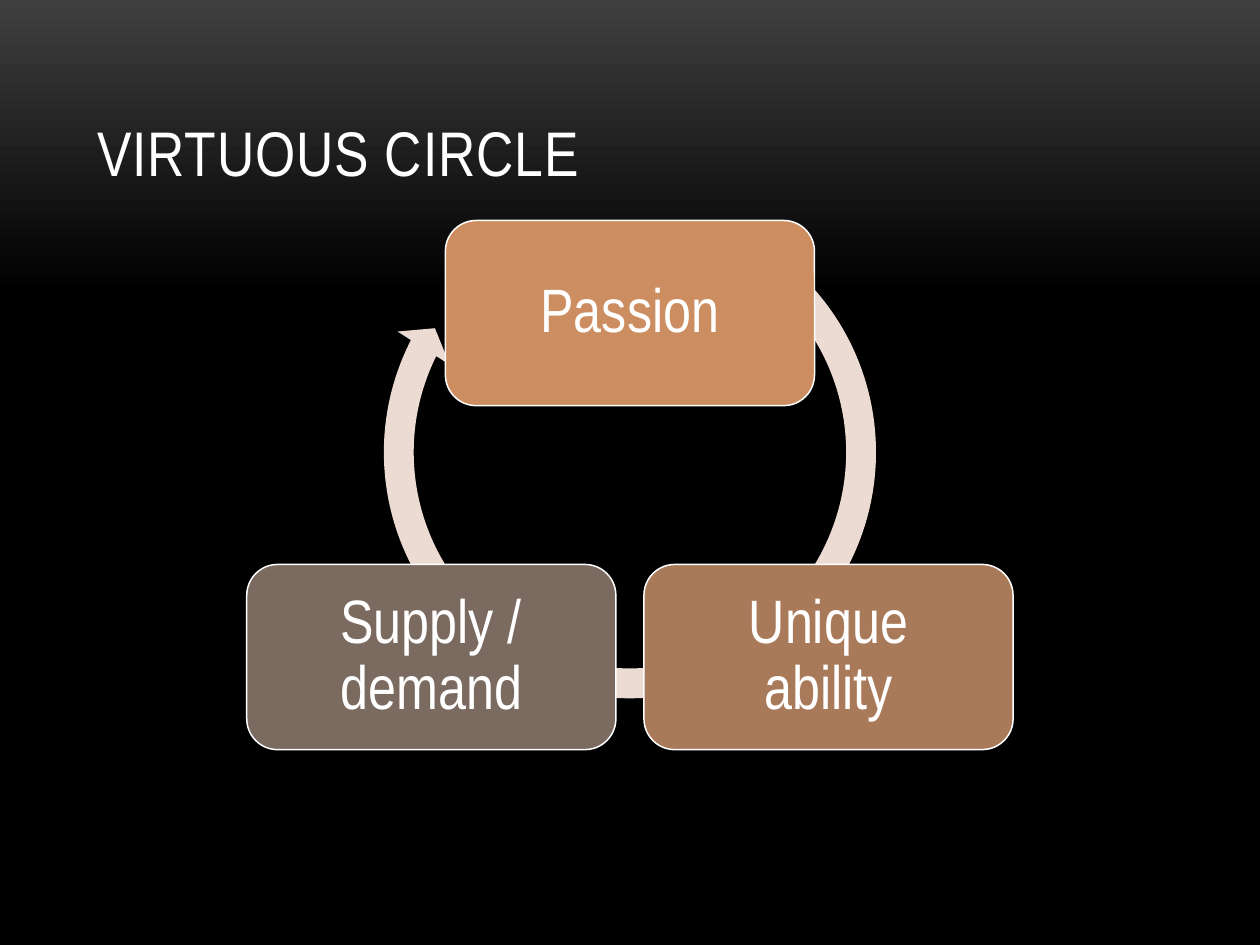
"""Build the virtuous circle slide: a title over a three-step cycle."""
from math import cos, radians, sin

from pptx import Presentation
from pptx.dml.color import RGBColor
from pptx.enum.shapes import MSO_SHAPE
from pptx.enum.text import MSO_ANCHOR, MSO_AUTO_SIZE, PP_ALIGN
from pptx.util import Inches, Pt

ROUNDED = MSO_SHAPE.ROUNDED_RECTANGLE
CIRCULAR_ARROW = MSO_SHAPE.CIRCULAR_ARROW
MIDDLE, BOTTOM = MSO_ANCHOR.MIDDLE, MSO_ANCHOR.BOTTOM
LEFT, CENTER = PP_ALIGN.LEFT, PP_ALIGN.CENTER
NO_AUTOFIT = MSO_AUTO_SIZE.NONE

FONT = "Arial Narrow"
WHITE = RGBColor(0xFF, 0xFF, 0xFF)
BLACK = RGBColor(0x00, 0x00, 0x00)
CHARCOAL = RGBColor(0x3F, 0x3F, 0x3F)
BLUSH = RGBColor(0xEC, 0xDB, 0xD2)
STEPS = [
    ("Passion", RGBColor(0xCC, 0x8E, 0x60)),
    ("Unique ability", RGBColor(0xA9, 0x7A, 0x5A)),
    ("Supply / demand", RGBColor(0x7A, 0x6A, 0x60)),
]
ARROW_ADJUSTMENTS = (0.057, 3.405, 124.068, 182.805, 0.059)


def paint_background(slide):
    """Fade the background from charcoal at the top to black."""
    fill = slide.background.fill
    fill.gradient()
    fill.gradient_angle = 270
    for stop, color, position in zip(fill.gradient_stops, (CHARCOAL, BLACK), (0, 0.31)):
        stop.color.rgb = color
        stop.position = position


def write(frame, text, size, align, anchor):
    """Write one white run into a text frame and return it."""
    frame.word_wrap = True
    frame.auto_size = NO_AUTOFIT
    frame.vertical_anchor = anchor
    paragraph = frame.paragraphs[0]
    paragraph.alignment = align
    run = paragraph.add_run()
    run.text = text
    run.font.name = FONT
    run.font.size = Pt(size)
    run.font.color.rgb = WHITE
    return run


def place_title(slide, text, left, top, width, height):
    """Move the title placeholder into its box and fill it."""
    title = slide.shapes.title
    title.left, title.top = Inches(left), Inches(top)
    title.width, title.height = Inches(width), Inches(height)
    run = write(title.text_frame, text, 36, LEFT, BOTTOM)
    run.font._element.set("spc", "50")


def add_filled(slide, kind, center_x, center_y, width, height, color):
    """Add a flat filled shape around a centre point."""
    shape = slide.shapes.add_shape(
        kind, Inches(center_x - width / 2), Inches(center_y - height / 2),
        Inches(width), Inches(height))
    shape.shadow.inherit = False
    shape.fill.solid()
    shape.fill.fore_color.rgb = color
    return shape


def add_step(slide, label, color, center_x, center_y):
    """Add one labelled step of the cycle."""
    step = add_filled(slide, ROUNDED, center_x, center_y, 2.93, 1.47, color)
    step.line.color.rgb = WHITE
    step.line.width = Pt(0.85)
    frame = step.text_frame
    frame.margin_left = frame.margin_right = Inches(0.22)
    frame.margin_top = frame.margin_bottom = Inches(0.22)
    write(frame, label, 35, CENTER, MIDDLE)
    frame.paragraphs[0].line_spacing = 0.9


def add_cycle(slide, left, top, width, height):
    """Add the circular arrow and spread the steps evenly around the box."""
    center_x = left + width / 2
    arrow = add_filled(slide, CIRCULAR_ARROW, center_x, top + 1.84, 4.16, 4.16, BLUSH)
    arrow.line.fill.background()
    for index, value in enumerate(ARROW_ADJUSTMENTS):
        arrow.adjustments[index] = value
    radius = (height - 1.47) / 1.5
    center_y = top + 1.47 / 2 + radius
    for index, (label, color) in enumerate(STEPS):
        angle = radians(index * 360 / len(STEPS) - 90)
        add_step(slide, label, color,
                 center_x + radius * cos(angle), center_y + radius * sin(angle))


def main():
    """Assemble and save the slide."""
    deck = Presentation()
    deck.slide_width, deck.slide_height = Inches(10), Inches(7.5)
    slide = deck.slides.add_slide(deck.slide_layouts[5])
    paint_background(slide)
    place_title(slide, "VIRTUOUS CIRCLE", 0.67, 0.3, 8.67, 1.25)
    add_cycle(slide, 1.96, 1.75, 6.08, 4.2)
    deck.save("out.pptx")


main()
